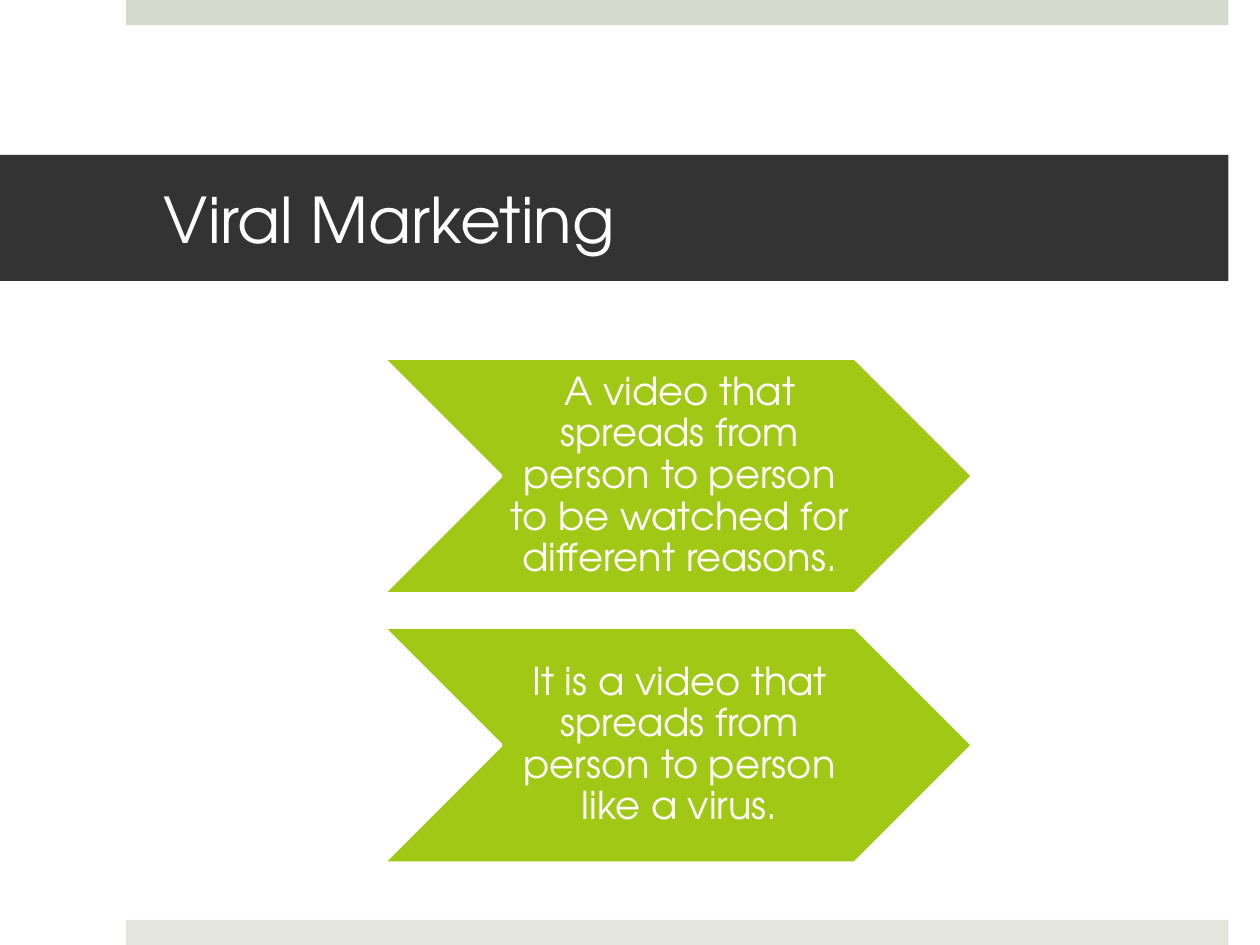
import pptx
import pptx.dml.color
import pptx.enum.shapes
import pptx.enum.text
import pptx.util

Pt = pptx.util.Pt
RGBColor = pptx.dml.color.RGBColor
Shape = pptx.enum.shapes.MSO_SHAPE
Align = pptx.enum.text.PP_ALIGN

WHITE = RGBColor(0xFF, 0xFF, 0xFF)
CHARCOAL = RGBColor(0x33, 0x33, 0x33)
LIME = RGBColor(0xA2, 0xC8, 0x16)
SAGE = RGBColor(0xD6, 0xD9, 0xCD)
PALE_SAGE = RGBColor(0xE4, 0xE6, 0xDE)

TITLE_ONLY = 5


class SlideBuilder:
    font_name = "TeX Gyre Adventor"

    def __init__(self, slide):
        self.slide = slide

    def fill(self, shape, color):
        shape.fill.solid()
        shape.fill.fore_color.rgb = color

    def set_text(self, shape, text, size, align, insets, line_spacing):
        """Give a shape one vertically centred paragraph; insets run left, top, right, bottom."""
        frame = shape.text_frame
        frame.text = text
        left, top, right, bottom = insets
        frame_format = {
            "word_wrap": True,
            "auto_size": pptx.enum.text.MSO_AUTO_SIZE.NONE,
            "vertical_anchor": pptx.enum.text.MSO_ANCHOR.MIDDLE,
            "margin_left": Pt(left),
            "margin_top": Pt(top),
            "margin_right": Pt(right),
            "margin_bottom": Pt(bottom),
        }
        for name, value in frame_format.items():
            setattr(frame, name, value)
        paragraph = frame.paragraphs[0]
        paragraph.alignment = align
        paragraph.line_spacing = line_spacing
        font = paragraph.runs[0].font
        for name, value in {"name": self.font_name, "size": Pt(size), "bold": False}.items():
            setattr(font, name, value)
        font.color.rgb = WHITE

    def bar(self, left, top, width, height, color):
        bar = self.slide.shapes.add_shape(
            Shape.RECTANGLE, Pt(left), Pt(top), Pt(width), Pt(height))
        bar.shadow.inherit = False
        self.fill(bar, color)
        bar.line.fill.background()

    def title(self, text, left, top, width, height):
        title = self.slide.shapes.title
        place = {"left": left, "top": top, "width": width, "height": height}
        for name, value in place.items():
            setattr(title, name, Pt(value))
        self.fill(title, CHARCOAL)
        self.set_text(title, text, 36, Align.LEFT, (93.6, 3.6, 21.6, 3.6), 1.0)

    def chevron(self, text, left, top, width, height):
        chevron = self.slide.shapes.add_shape(
            Shape.CHEVRON, Pt(left), Pt(top), Pt(width), Pt(height))
        chevron.shadow.inherit = False
        self.fill(chevron, LIME)
        chevron.line.color.rgb = WHITE
        chevron.line.width = Pt(2)
        self.set_text(chevron, text, 22, Align.CENTER, (2, 1.4, 0, 1.4), 0.9)


def main():
    deck = pptx.Presentation()
    deck.slide_width, deck.slide_height = Pt(720), Pt(540)
    builder = SlideBuilder(deck.slides.add_slide(deck.slide_layouts[TITLE_ONLY]))

    builder.bar(72, 0, 630, 14.4, SAGE)
    builder.bar(72, 525.6, 630, 14.4, PALE_SAGE)
    builder.title("Viral Marketing", 0, 88.5, 702, 72)

    definitions = [
        "A video that spreads from person to person to be watched for different reasons.",
        "It is a video that spreads from person to person like a virus.",
    ]
    first_top, pitch = 204.6, 153.8
    for row, definition in enumerate(definitions):
        builder.chevron(definition, 218.9, first_top + row * pitch, 337, 134.8)

    deck.save("out.pptx")


if __name__ == "__main__":
    main()
